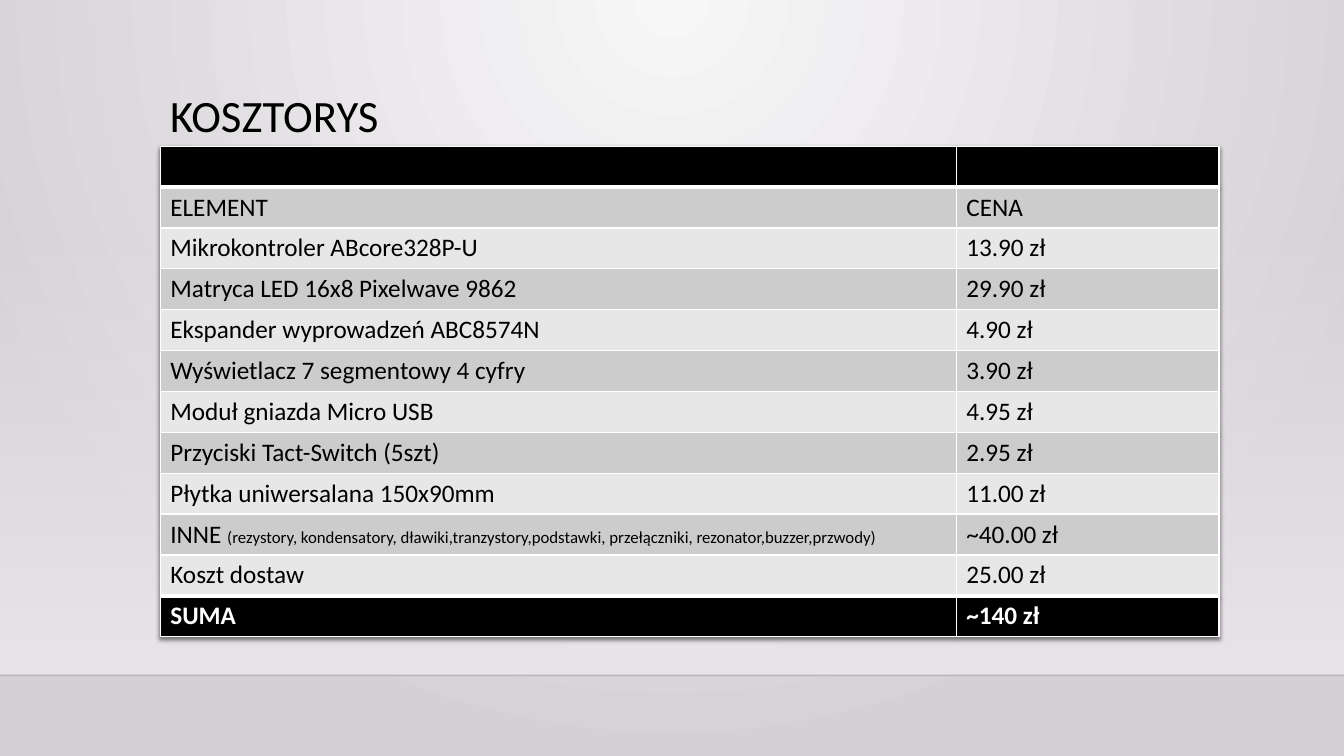
"""Build the cost estimate slide with its price table."""
from lxml.etree import SubElement
from pptx import Presentation
from pptx.dml.color import RGBColor
from pptx.enum.shapes import MSO_CONNECTOR as Connector, MSO_SHAPE as Shape
from pptx.enum.text import MSO_ANCHOR as Anchor
from pptx.oxml import parse_xml
from pptx.oxml.ns import nsdecls, qn
from pptx.util import Pt

TITLE = "KOSZTORYS"
ROWS = [
    ([], []),
    (["ELEMENT"], ["CENA"]),
    (["Mikrokontroler ABcore328P-U"], ["13.90 zł"]),
    (["Matryca LED 16x8 Pixelwave 9862"], ["29.90 zł"]),
    (["Ekspander wyprowadzeń ABC8574N"], ["4.90 zł"]),
    (["Wyświetlacz 7 segmentowy 4 cyfry"], ["3.90 zł"]),
    (["Moduł gniazda Micro USB"], ["4.95 zł"]),
    (["Przyciski Tact-Switch (5szt)"], ["2.95 zł"]),
    (["Płytka uniwersalana 150x90mm"], ["11.00 zł"]),
    (["INNE ", "(rezystory, kondensatory, dławiki,tranzystory,podstawki, "
      "przełączniki, rezonator,buzzer,przwody)"], ["~40.00 zł"]),
    (["Koszt dostaw"], ["25.00 zł"]),
    (["SUMA"], ["~140 zł"]),
]
FONT = "Calibri"
BLACK, WHITE = "000000", "FFFFFF"
BANDS = ["E7E7E7", "CCCCCC"]
WIDTH, HEIGHT = 960, 540
LEFT, TABLE_TOP, ROW_HEIGHT = 114.5, 104.4, 29.2
COLUMNS = [568.6, 187.7]
WALL_TOP, FLOOR_TOP = 159.1, 482.4
TEXT_SIZES = [18, 12]
THIN, THICK = 1, 3


def color(value):
    return RGBColor.from_string(value)


def add_run(paragraph, text, size, shade, bold=False):
    run = paragraph.add_run()
    run.text = text
    font = run.font
    font.name, font.size, font.bold = FONT, Pt(size), bold
    font.color.rgb = color(shade)


def set_gradient(fill, start, end):
    fill.gradient()
    for stop, shade, position in zip(fill.gradient_stops, (start, end), (0, 1)):
        stop.color.rgb = color(shade)
        stop.position = position


def set_alpha(element, percent):
    first_color = next(element.iter(qn("a:srgbClr")))
    SubElement(first_color, qn("a:alpha"), val=str(percent * 1000))


def draw_backdrop(slide):
    set_gradient(slide.background.fill, "F8F7F8", "D4D0D5")
    gradient = next(slide.element.iter(qn("a:gradFill")))
    gradient.remove(gradient.find(qn("a:lin")))
    radial = SubElement(gradient, qn("a:path"), path="circle")
    SubElement(radial, qn("a:fillToRect"), l="43000", t="0", r="43000", b="100000")

    wall = slide.shapes.add_shape(Shape.RECTANGLE, 0, Pt(WALL_TOP), Pt(WIDTH),
                                  Pt(FLOOR_TOP - WALL_TOP))
    wall.shadow.inherit = False
    wall.line.fill.background()
    set_gradient(wall.fill, "EAE5EB", "EAE5EB")
    wall.fill.gradient_angle = 270
    set_alpha(wall.element.spPr, 0)

    edge = slide.shapes.add_connector(Connector.STRAIGHT, 0, Pt(FLOOR_TOP),
                                      Pt(WIDTH), Pt(FLOOR_TOP))
    edge.line.width = Pt(1)
    edge.line.color.rgb = color("000001")
    set_alpha(edge.element.spPr, 20)
    SubElement(edge.element.spPr, qn("a:effectLst"))


def draw_title(slide):
    box = slide.shapes.add_textbox(Pt(LEFT), Pt(63.4), Pt(756), Pt(82.8))
    frame = box.text_frame
    frame.word_wrap = True
    frame.vertical_anchor = Anchor.TOP
    paragraph = frame.paragraphs[0]
    paragraph.line_spacing = 0.9
    add_run(paragraph, TITLE, 32, BLACK)


def set_borders(cell, top, bottom):
    properties = cell._tc.get_or_add_tcPr()
    for side, width in (("L", THIN), ("R", THIN), ("T", top), ("B", bottom)):
        line = SubElement(properties, qn(f"a:ln{side}"), w=str(Pt(width)))
        solid = SubElement(line, qn("a:solidFill"))
        SubElement(solid, qn("a:srgbClr"), val=WHITE)


def draw_table(slide):
    last = len(ROWS) - 1
    frame = slide.shapes.add_table(len(ROWS), len(COLUMNS), Pt(LEFT), Pt(TABLE_TOP),
                                   Pt(sum(COLUMNS)), Pt(ROW_HEIGHT * len(ROWS)))
    table = frame.table
    table.first_row = table.horz_banding = False
    table._tbl.tblPr.insert(0, parse_xml(
        f'<a:effectLst {nsdecls("a")}><a:outerShdw blurRad="38100" dist="25400" '
        'dir="5400000" rotWithShape="0"><a:srgbClr val="000000">'
        '<a:alpha val="50000"/></a:srgbClr></a:outerShdw></a:effectLst>'))
    for column, width in zip(table.columns, COLUMNS):
        column.width = Pt(width)
    for index, texts in enumerate(ROWS):
        table.rows[index].height = Pt(ROW_HEIGHT)
        dark = index in (0, last)
        top = THICK if index in (1, last) else THIN
        bottom = THICK if index in (0, last - 1) else THIN
        for column, parts in enumerate(texts):
            cell = table.cell(index, column)
            set_borders(cell, top, bottom)
            cell.fill.solid()
            cell.fill.fore_color.rgb = color(BLACK if dark else BANDS[index % 2])
            for text, size in zip(parts, TEXT_SIZES):
                add_run(cell.text_frame.paragraphs[0], text, size,
                        WHITE if dark else BLACK, dark)


def main():
    presentation = Presentation()
    presentation.slide_width, presentation.slide_height = Pt(WIDTH), Pt(HEIGHT)
    slide = presentation.slides.add_slide(presentation.slide_layouts[6])
    draw_backdrop(slide)
    draw_title(slide)
    draw_table(slide)
    presentation.save("out.pptx")


if __name__ == "__main__":
    main()
